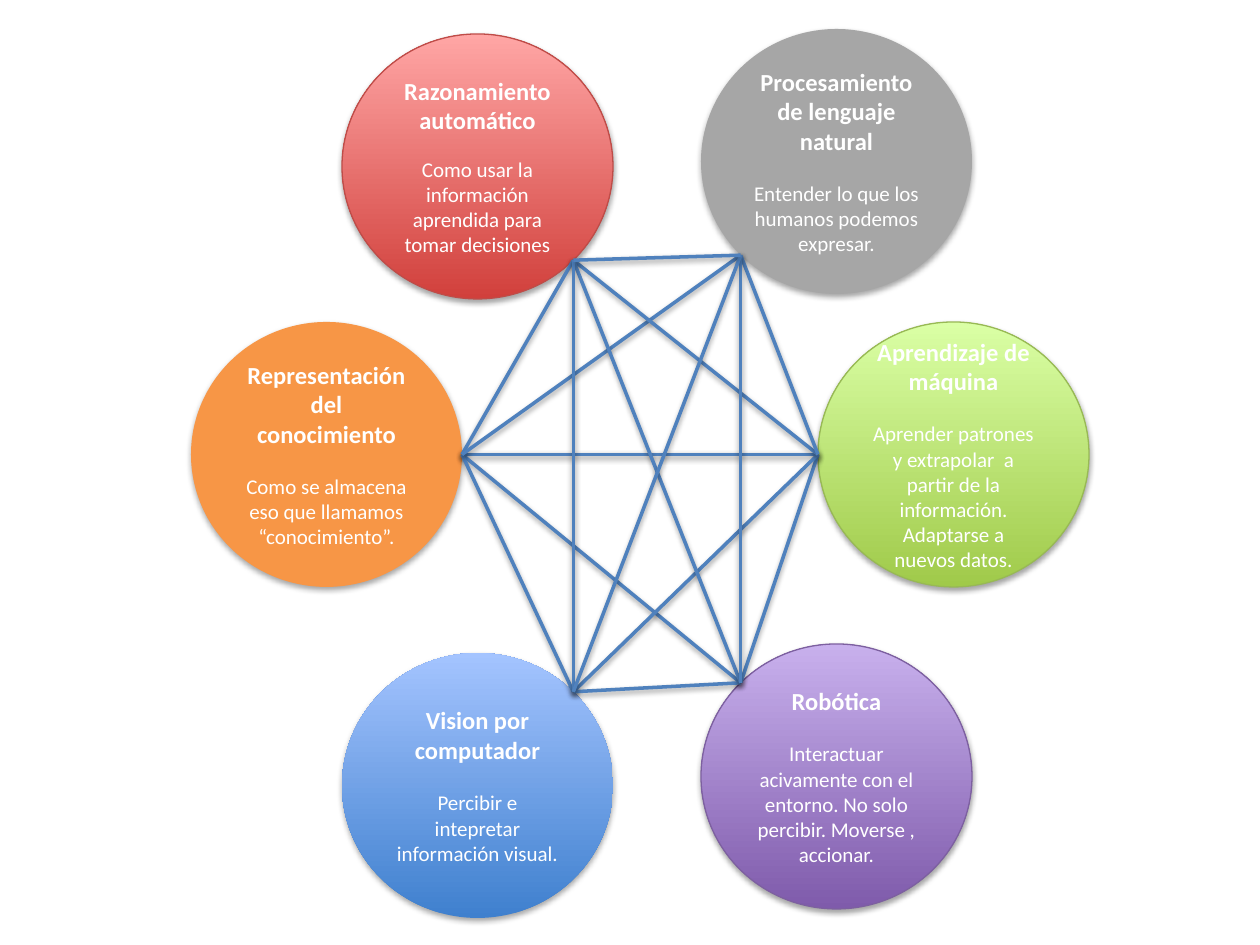
from itertools import combinations
from math import cos, radians, sin

from lxml.etree import SubElement
from pptx import Presentation
from pptx.dml.color import RGBColor
from pptx.enum.shapes import MSO_CONNECTOR as CONNECTOR, MSO_SHAPE as SHAPE
from pptx.enum.text import MSO_ANCHOR as ANCHOR, PP_ALIGN as ALIGN
from pptx.oxml.ns import qn
from pptx.util import Emu, Pt

PX = 914400 / 126
CIRCLE_WIDTH, CIRCLE_HEIGHT = 271, 265
LINK_COLOR = "4F81BD"
TITLE_FONT = {"name": "Calibri", "size": Pt(14), "bold": True}
DETAIL_FONT = {"name": "Calibri", "size": Pt(12), "bold": False}

# left, top, angle of the link point (clockwise from the right),
# fill (one colour, or bottom and top), outline, gap in points, title, detail
FIELDS = [
    (191, 322, 0, ["F79646"], None, 14.6, "Representación del conocimiento",
     "Como se almacena eso que llamamos “conocimiento”."),
    (818, 322, 180, ["A0CA4A", "DAFFA5"], "98B955", 14.6, "Aprendizaje de máquina",
     "Aprender patrones y extrapolar  a partir de la información. Adaptarse a nuevos datos."),
    (701, 644, 225, ["7F5BAB", "C8B0ED"], "7D60A0", 14.6, "Robótica",
     "Interactuar acivamente con el entorno. No solo percibir. Moverse , accionar."),
    (342, 653, 315, ["3F80CE", "A4C4FF"], None, 14.6, "Vision por computador",
     "Percibir e intepretar información visual."),
    (342, 34, 45, ["D1403C", "FFA6A5"], "BF4C48", 12.2, "Razonamiento automático",
     "Como usar la información aprendida para tomar decisiones"),
    (701, 29, 135, ["A6A6A6"], None, 14.6, "Procesamiento de lenguaje natural",
     "Entender lo que los humanos podemos expresar."),
]


def px(value):
    return Emu(round(value * PX))


def color(value):
    return RGBColor.from_string(value)


def add_shadow(shape, distance, opacity):
    """Cast a soft black shadow straight down; call after fill and line are set."""
    effects = SubElement(shape._element.spPr, qn("a:effectLst"))
    shadow = SubElement(effects, qn("a:outerShdw"), blurRad="40000",
                        dist=str(distance), dir="5400000", rotWithShape="0")
    black = SubElement(shadow, qn("a:srgbClr"), val="000000")
    SubElement(black, qn("a:alpha"), val=str(opacity * 1000))


def paint(fill, colors):
    if len(colors) == 1:
        fill.solid()
        fill.fore_color.rgb = color(colors[0])
        return
    fill.gradient()
    fill.gradient_angle = 90
    for stop, value in zip(fill.gradient_stops, colors):
        stop.color.rgb = color(value)


def write(paragraph, text, font_format):
    paragraph.text = text
    paragraph.alignment = ALIGN.CENTER
    for name, value in font_format.items():
        setattr(paragraph.font, name, value)
    paragraph.font.color.rgb = color("FFFFFF")


def add_field(slide, left, top, fill, outline, gap, title, detail):
    circle = slide.shapes.add_shape(
        SHAPE.OVAL, px(left), px(top), px(CIRCLE_WIDTH), px(CIRCLE_HEIGHT))
    paint(circle.fill, fill)
    if outline:
        circle.line.color.rgb = color(outline)
        circle.line.width = Pt(0.75)
    else:
        circle.line.fill.background()
    add_shadow(circle, 23000, 35)

    frame = circle.text_frame
    frame.word_wrap = True
    frame.vertical_anchor = ANCHOR.MIDDLE
    write(frame.paragraphs[0], title, TITLE_FONT)
    paragraph = frame.add_paragraph()
    write(paragraph, detail, DETAIL_FONT)
    paragraph.space_before = Pt(gap)


def link_point(left, top, angle):
    return (px(left + CIRCLE_WIDTH / 2 * (1 + cos(radians(angle)))),
            px(top + CIRCLE_HEIGHT / 2 * (1 + sin(radians(angle)))))


def add_link(slide, start, end):
    link = slide.shapes.add_connector(CONNECTOR.STRAIGHT, *start, *end)
    link.line.color.rgb = color(LINK_COLOR)
    link.line.width = Pt(2)
    add_shadow(link, 20000, 38)


def main():
    presentation = Presentation()
    presentation.slide_width, presentation.slide_height = px(1260), px(945)
    slide = presentation.slides.add_slide(presentation.slide_layouts[6])
    points = []
    for left, top, angle, *content in FIELDS:
        add_field(slide, left, top, *content)
        points.append(link_point(left, top, angle))
    for start, end in combinations(points, 2):
        add_link(slide, start, end)
    presentation.save("out.pptx")


if __name__ == "__main__":
    main()
